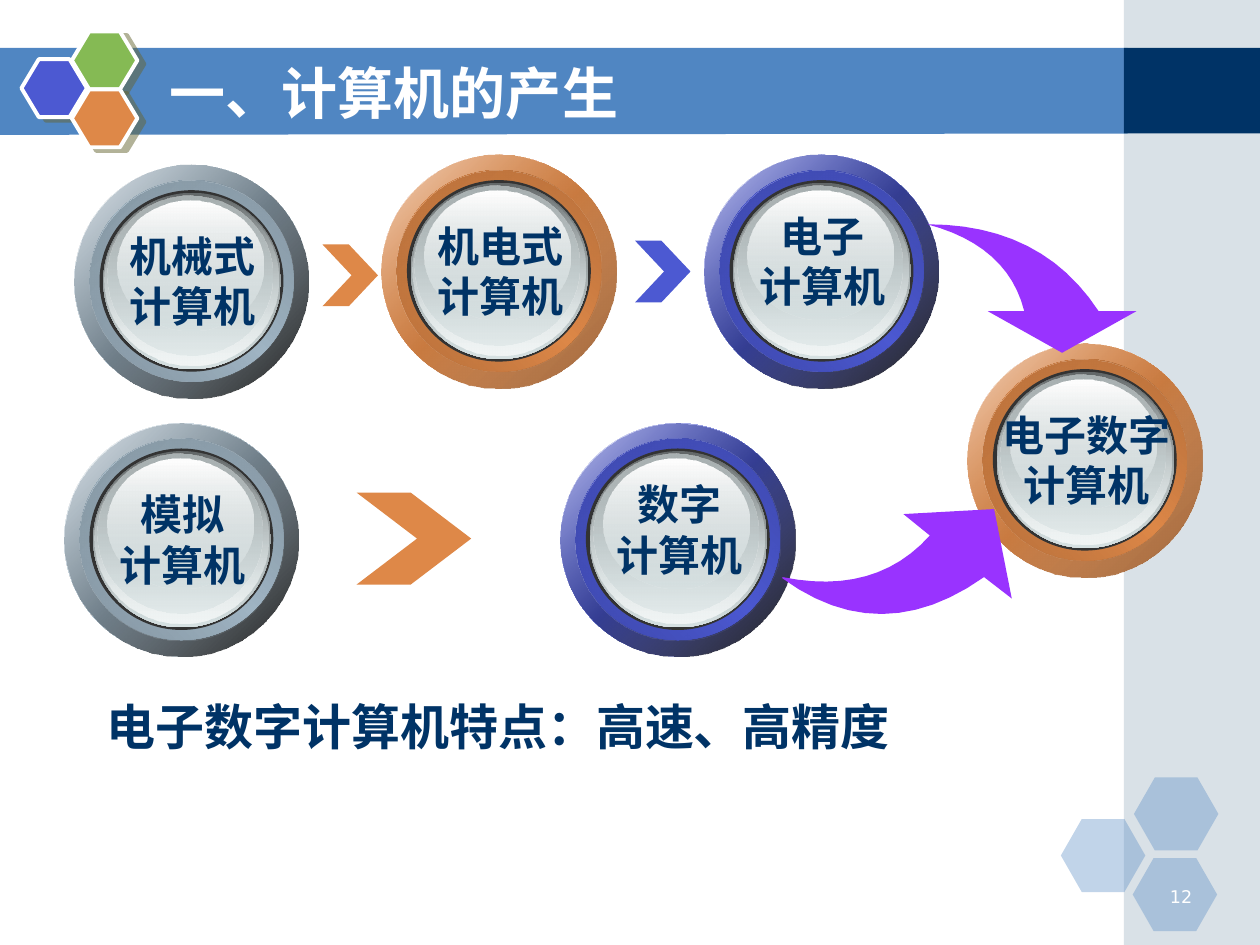
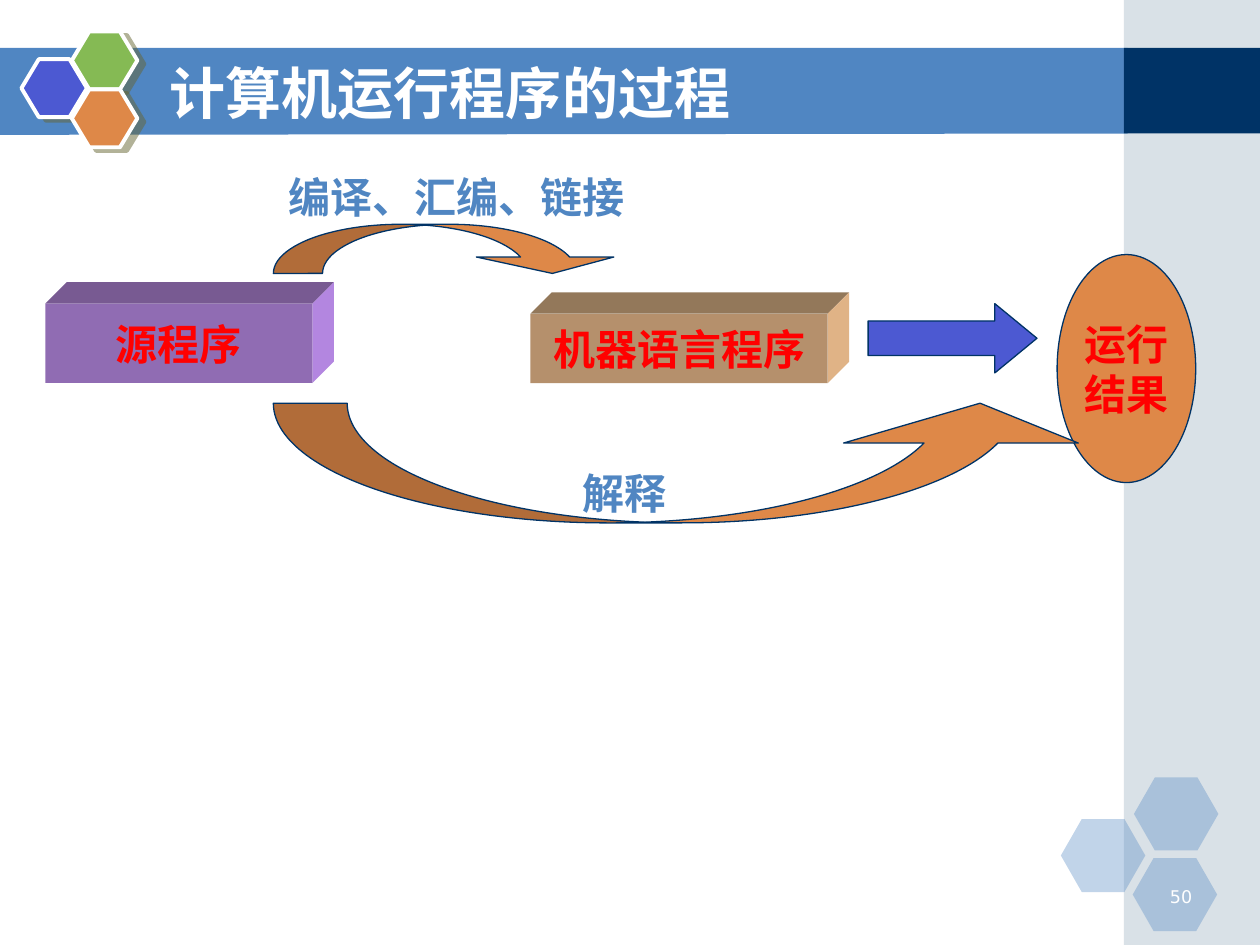
from lxml import etree
from pptx import Presentation
from pptx.dml.color import RGBColor
from pptx.enum.shapes import MSO_SHAPE
from pptx.enum.text import MSO_ANCHOR, PP_ALIGN
from pptx.oxml.ns import qn
from pptx.util import Inches, Pt

SLIDE_WIDTH, SLIDE_HEIGHT = Inches(10), Inches(7.5)
COLUMN = SLIDE_WIDTH / 10

WHITE = RGBColor(0xFF, 0xFF, 0xFF)
BLACK = RGBColor(0x00, 0x00, 0x00)
NAVY = RGBColor(0x00, 0x33, 0x66)
SKY = RGBColor(0x50, 0x86, 0xC2)
STEEL = RGBColor(0xA0, 0xB5, 0xC4)
INDIGO = RGBColor(0x4C, 0x59, 0xD2)
GREEN = RGBColor(0x85, 0xBA, 0x54)
ORANGE = RGBColor(0xDE, 0x88, 0x48)
VIOLET = RGBColor(0x99, 0x33, 0xFF)
RED = RGBColor(0xFF, 0x00, 0x00)
OLIVE = RGBColor(0x66, 0x66, 0x33)
CHARCOAL = RGBColor(0x33, 0x33, 0x33)
GLASS = RGBColor(0xD6, 0xE1, 0xE2)
GLASS_EDGE = RGBColor(0x63, 0x68, 0x69)
GLASS_MIST = RGBColor(0xAA, 0xB2, 0xB3)
GLASS_LIGHT = RGBColor(0xF1, 0xF5, 0xF5)
PURPLE_FACES = (RGBColor(0x90, 0x6C, 0xB3), RGBColor(0x78, 0x5A, 0x92),
                RGBColor(0xB3, 0x86, 0xE0))
TAN_FACES = (RGBColor(0xB5, 0x90, 0x6C), RGBColor(0x93, 0x78, 0x5A),
             RGBColor(0xE0, 0xB3, 0x86))

RECTANGLE, OVAL, HEXAGON = MSO_SHAPE.RECTANGLE, MSO_SHAPE.OVAL, MSO_SHAPE.HEXAGON
CHEVRON, RIGHT_ARROW = MSO_SHAPE.CHEVRON, MSO_SHAPE.RIGHT_ARROW
CURVED_UP, CURVED_DOWN = MSO_SHAPE.CURVED_UP_ARROW, MSO_SHAPE.CURVED_DOWN_ARROW
LEFT, CENTER, RIGHT = PP_ALIGN.LEFT, PP_ALIGN.CENTER, PP_ALIGN.RIGHT
TOP, MIDDLE = MSO_ANCHOR.TOP, MSO_ANCHOR.MIDDLE

LATIN_FONT, CHINESE_FONT, NUMBER_FONT = "Arial", "Noto Sans CJK SC", "DejaVu Sans"
BAND_TOP, BAND_BOTTOM = 0.38, 1.06
SIDEBAR_LEFT, SIDEBAR_WIDTH = 8.92, 1.08
BLOCK_DEPTH = 0.17


def grid(*units):
    return [round(unit * COLUMN) for unit in units]


def add_color(parent, color, opacity):
    node = etree.SubElement(parent, qn("a:srgbClr"), val=str(color))
    if opacity < 100:
        etree.SubElement(node, qn("a:alpha"), val=str(opacity * 1000))


def finish(shape, fill, opacity=100, line=None, line_width=0.75):
    shape.shadow.inherit = False
    shape.fill.solid()
    shape.fill.fore_color.rgb = fill
    if opacity < 100:
        solid = shape._element.spPr.find(qn("a:solidFill"))
        solid.remove(solid[0])
        add_color(solid, fill, opacity)
    if line is None:
        shape.line.fill.background()
    else:
        shape.line.color.rgb = line
        shape.line.width = Pt(line_width)
    return shape


def add_figure(slide, kind, box, fill, adjust=(), **style):
    figure = slide.shapes.add_shape(kind, *grid(*box))
    for index, value in enumerate(adjust):
        figure.adjustments[index] = value
    return finish(figure, fill, **style)


def add_outline(slide, points, fill):
    start, *rest = [grid(*point) for point in points]
    builder = slide.shapes.build_freeform(*start)
    builder.add_line_segments(rest, close=True)
    return finish(builder.convert_to_shape(), fill)


def set_gradient(shape, angle, *stops):
    shape.fill.gradient()
    gradient = shape._element.spPr.find(qn("a:gradFill"))
    gradient.find(qn("a:lin")).set("ang", str(angle * 60000))
    stop_list = gradient.find(qn("a:gsLst"))
    for default in list(stop_list):
        stop_list.remove(default)
    for position, color, opacity in stops:
        stop = etree.SubElement(stop_list, qn("a:gs"), pos=str(position * 1000))
        add_color(stop, color, opacity)


def write(shape, lines, size, color, font=LATIN_FONT, align=CENTER, anchor=MIDDLE,
          bold=True, wrap=False):
    frame = shape.text_frame
    frame.word_wrap = wrap
    frame.vertical_anchor = anchor
    frame.text = "\n".join(lines)
    for paragraph in frame.paragraphs:
        paragraph.alignment = align
        paragraph.font.name = font
        paragraph.font.size = Pt(size)
        paragraph.font.bold = bold
        paragraph.font.color.rgb = color
        defaults = paragraph._p.pPr.find(qn("a:defRPr"))
        etree.SubElement(defaults, qn("a:ea"), typeface=CHINESE_FONT)


def add_label(slide, box, lines, size, color, **style):
    label = slide.shapes.add_textbox(*grid(*box))
    write(label, lines, size, color, **style)


def add_badge(slide):
    for left, top, color in ((0.17, 0.47, INDIGO), (0.57, 0.25, GREEN),
                             (0.57, 0.71, ORANGE)):
        cell = add_figure(slide, HEXAGON, (left, top, 0.52, 0.46), color, (0.3,),
                          line=WHITE, line_width=2.25)
        effects = cell._element.spPr.find(qn("a:effectLst"))
        shadow = etree.SubElement(effects, qn("a:outerShdw"), blurRad="0",
                                  dist=str(Pt(4.5)), dir=str(27 * 60000),
                                  algn="ctr", rotWithShape="0")
        add_color(shadow, OLIVE, 50)


def add_page(deck, title, number):
    slide = deck.slides.add_slide(deck.slide_layouts[6])
    band_end = 8.95
    add_outline(slide, ((-0.01, BAND_TOP), (band_end, BAND_TOP),
                        (band_end, BAND_BOTTOM), (-0.01, 1.07)), SKY)
    add_figure(slide, RECTANGLE, (SIDEBAR_LEFT, 0, SIDEBAR_WIDTH, 7.5), STEEL, opacity=40)
    add_figure(slide, RECTANGLE, (SIDEBAR_LEFT, BAND_TOP, SIDEBAR_WIDTH,
                                  BAND_BOTTOM - BAND_TOP), NAVY)
    for left, top in ((8.42, 6.5), (9, 6.17), (8.99, 6.81)):
        add_figure(slide, HEXAGON, (left, top, 0.67, 0.58), SKY, (0.286,), opacity=35)
    add_badge(slide)
    add_label(slide, (9.06, 6.98, 0.5, 0.25), [number], 10, WHITE, font=NUMBER_FONT,
              align=RIGHT, anchor=TOP, bold=False, wrap=True)
    add_label(slide, (1.25, 0.42, 7.33, 0.62), [title], 32, WHITE, font=CHINESE_FONT,
              align=LEFT, wrap=True)
    return slide


def shade(color, share):
    return RGBColor(*(int(channel * share) for channel in color))


def add_button(slide, left, top, color, lines):
    rim_end = (100, shade(ORANGE, 0.716), 100) if color == ORANGE else (100, BLACK, 90)
    ring = shade(color, 0.77)
    rim_box, ring_box = (0, 0, 1.86, 1.85), (0.12, 0.12, 1.62, 1.6)
    layers = (
        (rim_box, 45, (0, WHITE, 100), (50, color, 100), (100, WHITE, 100)),
        (rim_box, 45, (0, color, 32), rim_end),
        (ring_box, 315, (0, ring, 100), (50, color, 100), (100, ring, 100)),
        (ring_box, 45, (0, shade(color, 0.82), 100), (100, color, 0)),
        ((0.2, 0.2, 1.46, 1.44), 0, (0, CHARCOAL, 100), (100, CHARCOAL, 100)),
        ((0.23, 0.22, 1.41, 1.4), 90, (0, GLASS_EDGE, 100), (100, GLASS, 100)),
        ((0.24, 0.23, 1.38, 1.36), 90, (0, GLASS, 0), (100, GLASS_LIGHT, 100)),
        ((0.26, 0.24, 1.31, 1.27), 90, (0, GLASS_MIST, 100), (100, GLASS, 48)),
        ((0.34, 0.28, 1.16, 1.03), 90, (0, WHITE, 100), (100, GLASS, 38)),
    )
    for (dx, dy, width, height), angle, *stops in layers:
        disc = add_figure(slide, OVAL, (left + dx, top + dy, width, height), color)
        if stops[0][1] == CHARCOAL:
            finish(disc, CHARCOAL)
        else:
            set_gradient(disc, angle, *stops)
    label_width = 0.21 + len(max(lines, key=len)) / 3
    label_top = top + (0.39 if color == INDIGO else 0.47)
    add_label(slide, (left + 0.94 - label_width / 2, label_top, label_width, 0.9),
              lines, 24, NAVY, anchor=TOP)


def curve(start, control, end, steps=12):
    for step in range(steps + 1):
        t = step / steps
        yield tuple((1 - t) ** 2 * a + 2 * t * (1 - t) * b + t * t * c
                    for a, b, c in zip(start, control, end))


def add_swoosh(slide, outer, head, inner):
    add_outline(slide, (*curve(*outer), *head, *curve(*inner)), VIOLET)


def add_feature(slide, text):
    feature = slide.shapes.add_textbox(*grid(0.75, 5.48, 8.03, 0.57))
    properties = feature.text_frame.paragraphs[0]._p.get_or_add_pPr()
    properties.set("marL", str(Inches(0.34)))
    properties.set("indent", str(-Inches(0.34)))
    add_color(etree.SubElement(properties, qn("a:buClr")), INDIGO, 100)
    etree.SubElement(properties, qn("a:buChar"), char="❖")
    write(feature, [text], 28, NAVY, font=CHINESE_FONT, align=LEFT, anchor=TOP, wrap=True)


def add_block(slide, left, top, width, height, faces, text):
    front, lid, side = faces
    right, bottom, depth = left + width, top + height, BLOCK_DEPTH
    back_corner = (right + depth, top - depth)
    add_outline(slide, ((left, top), (left + depth, top - depth), back_corner,
                        (right, top)), lid)
    add_outline(slide, ((right, top), back_corner, (right + depth, bottom - depth),
                        (right, bottom)), side)
    face = add_figure(slide, RECTANGLE, (left, top, width, height), front)
    write(face, [text], 24, RED)


def build_origins(deck):
    slide = add_page(deck, "一、计算机的产生", "12")
    for box, color, notch in (((2.56, 1.94, 0.44, 0.49), ORANGE, 0.525),
                              ((5.04, 1.91, 0.44, 0.49), INDIGO, 0.525),
                              ((2.83, 3.91, 0.91, 0.73), ORANGE, 0.658)):
        add_figure(slide, CHEVRON, box, color, (notch,))
    for left, top, color, kind in ((0.59, 1.31, STEEL, "机械式"),
                                   (3.03, 1.23, ORANGE, "机电式"),
                                   (5.59, 1.23, INDIGO, "电子"),
                                   (0.51, 3.36, STEEL, "模拟"),
                                   (7.68, 2.73, ORANGE, "电子数字"),
                                   (4.45, 3.36, INDIGO, "数字")):
        add_button(slide, left, top, color, [kind, "计算机"])
    add_swoosh(slide, ((7.36, 1.78), (8.27, 1.78), (8.72, 2.47)),
               ((9.02, 2.47), (8.43, 2.8), (7.84, 2.47)),
               ((8.13, 2.47), (8, 1.95), (7.36, 1.78)))
    add_swoosh(slide, ((6.21, 4.59), (6.99, 5.16), (7.81, 4.58)),
               ((8.03, 4.75), (7.89, 4.04), (7.17, 4.08)),
               ((7.38, 4.25), (6.95, 4.73), (6.21, 4.58)))
    add_feature(slide, "电子数字计算机特点：高速、高精度")


def build_execution(deck):
    slide = add_page(deck, "计算机运行程序的过程", "50")
    add_block(slide, 0.36, 2.41, 2.12, 0.63, PURPLE_FACES, "源程序")
    add_block(slide, 4.21, 2.49, 2.36, 0.55, TAN_FACES, "机器语言程序")
    result = add_figure(slide, OVAL, (8.39, 2.02, 1.1, 1.81), ORANGE, line=NAVY)
    write(result, ["运行", "结果"], 24, RED)
    for kind, box, color, adjust in (
            (RIGHT_ARROW, (6.89, 2.41, 1.34, 0.55), INDIGO, (0.5, 0.608)),
            (CURVED_UP, (2.17, 3.2, 6.54, 0.95), ORANGE, (0.617, 1.961, 0.333)),
            (CURVED_DOWN, (2.17, 1.78, 2.76, 0.39), ORANGE, (1.398, 2.796, 0.333))):
        add_figure(slide, kind, box, color, adjust, line=NAVY)
    for box, step in (((2.01, 1.31, 3.23, 0.5), "编译、汇编、链接"),
                      ((4.21, 3.66, 1.49, 0.5), "解释")):
        add_label(slide, box, [step], 24, SKY, anchor=TOP, wrap=True)


def main():
    deck = Presentation()
    deck.slide_width, deck.slide_height = SLIDE_WIDTH, SLIDE_HEIGHT
    build_origins(deck)
    build_execution(deck)
    deck.save("out.pptx")


if __name__ == "__main__":
    main()
